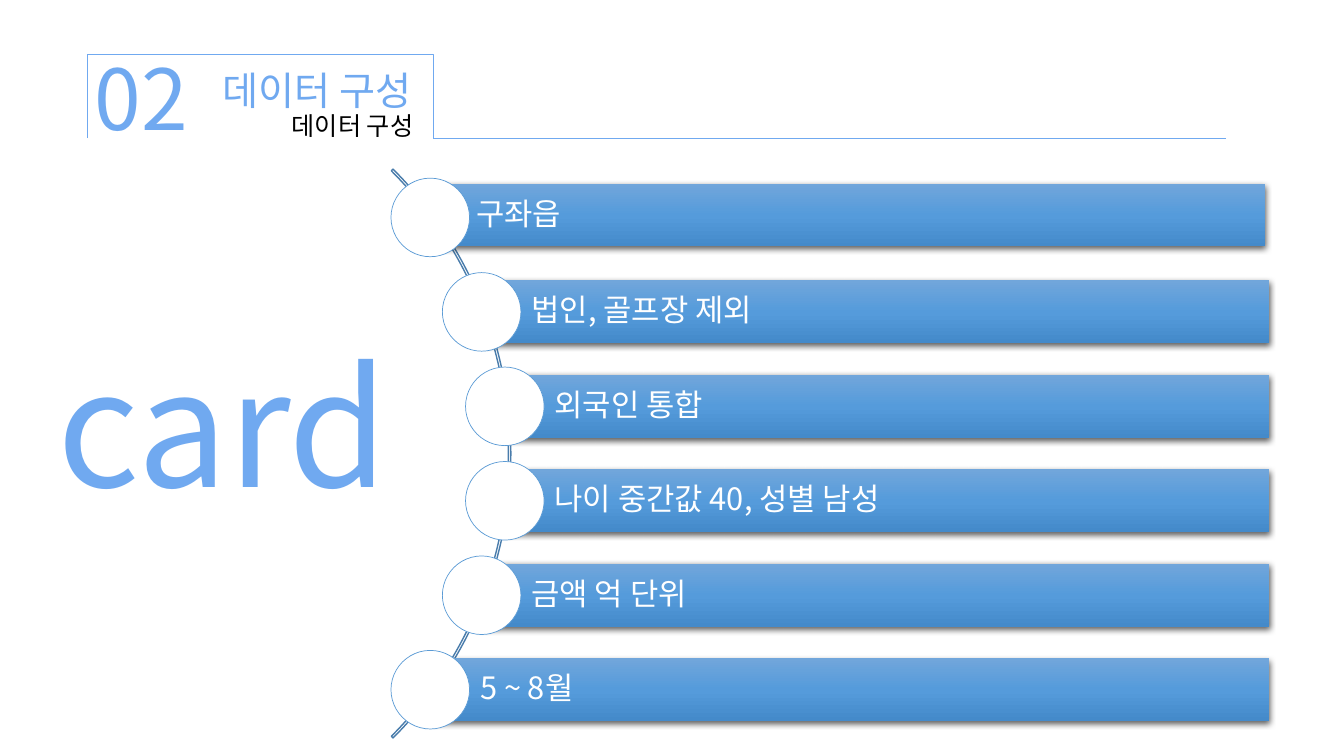
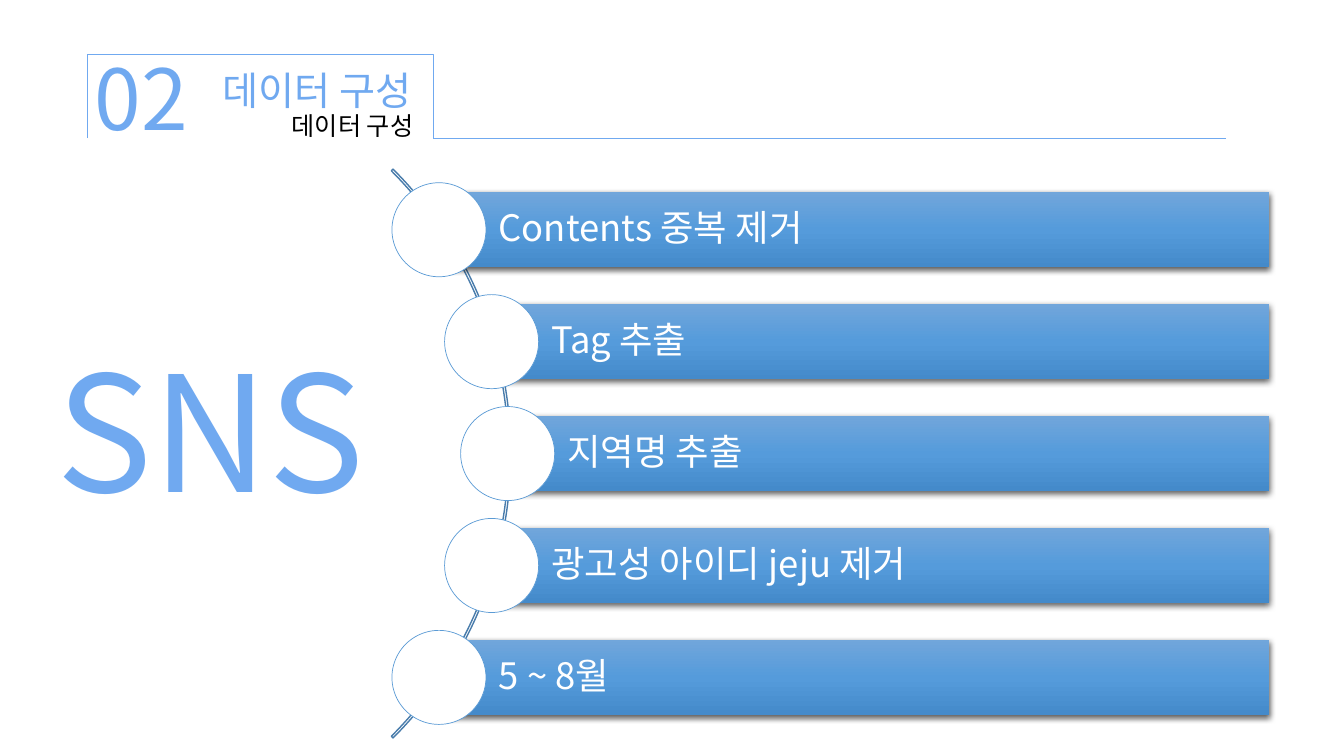
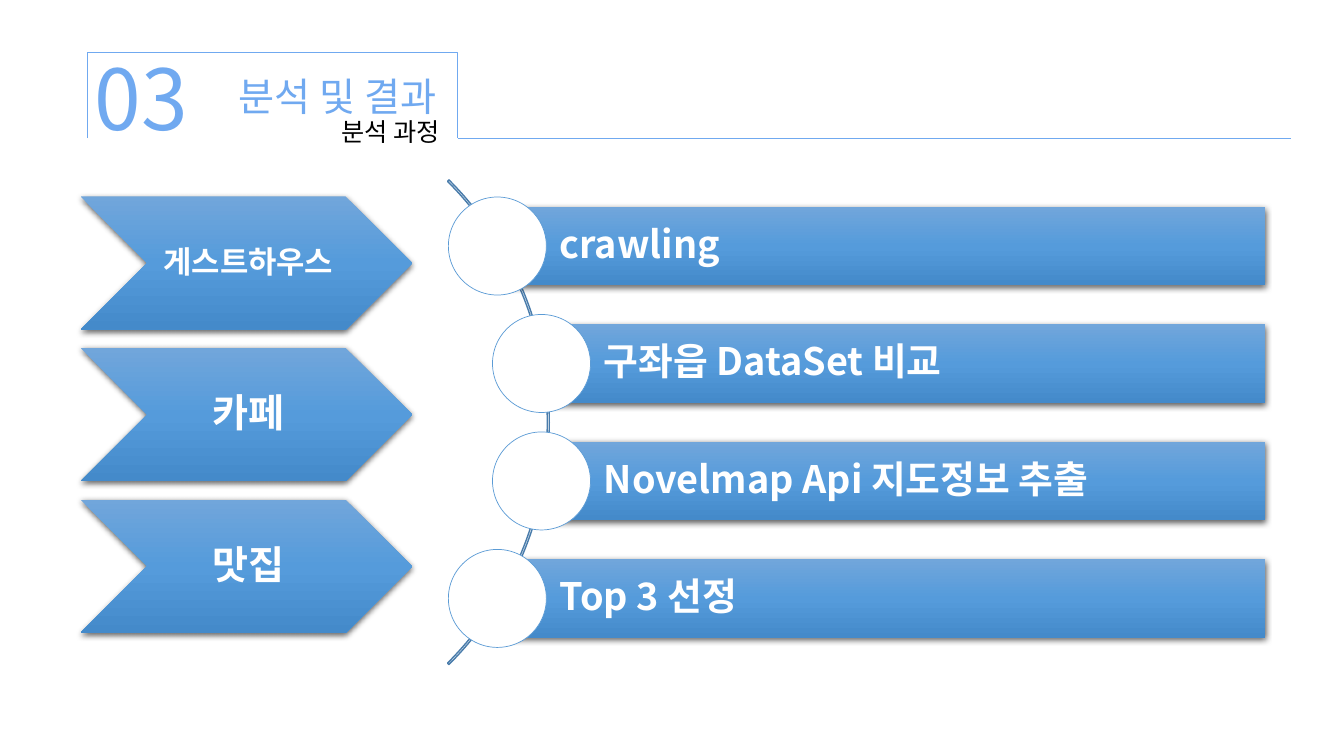
import copy
import math

import lxml.etree
import pptx
import pptx.dml.color
import pptx.enum.shapes
import pptx.enum.text
import pptx.oxml.ns
import pptx.util

Cm = pptx.util.Cm
Pt = pptx.util.Pt
qn = pptx.oxml.ns.qn
SHAPE = pptx.enum.shapes.MSO_SHAPE
ANCHOR = pptx.enum.text.MSO_ANCHOR
ALIGN = pptx.enum.text.PP_ALIGN

FONT = "Noto Sans CJK KR"
ACCENT = "70A9F0"
BLACK = "000000"
WHITE = "FFFFFF"
ARC_LINE = "497CAB"
DOT_LINE = "5B9BD5"
GRADIENT = ((0, "71A6DB"), (0.5, "559BDB"), (1, "448ACA"))
FRAME_LEFT = 2.21
FRAME_BOTTOM = 3.48
TEXT_INSETS = (0.25, 0.13, 0.25, 0.13)


def color(value):
    """Turn a hex string into a colour."""
    return pptx.dml.color.RGBColor.from_string(value)


def write(sp, text, size, fill, align=ALIGN.LEFT, anchor=ANCHOR.TOP,
          insets=TEXT_INSETS, bold=False, spacing=1.0):
    """Write one formatted line of text into a shape."""
    tf = sp.text_frame
    tf.word_wrap = True
    tf.auto_size = pptx.enum.text.MSO_AUTO_SIZE.NONE
    tf.vertical_anchor = anchor
    tf.margin_left, tf.margin_top, tf.margin_right, tf.margin_bottom = map(Cm, insets)
    p = tf.paragraphs[0]
    p.alignment = align
    p.line_spacing = spacing
    r = p.add_run()
    r.text = text
    r.font.size = Pt(size)
    r.font.bold = bold
    r.font.color.rgb = color(fill)
    r.font.name = FONT
    east_asian = lxml.etree.SubElement(r.font._element, qn("a:ea"))
    east_asian.set("typeface", FONT)


def add_text(s, box, text, size, fill, **style):
    """Add a text box at box, given in centimetres."""
    write(s.shapes.add_textbox(*map(Cm, box)), text, size, fill, **style)


def add_shape(s, kind, box, line=None, width=0.5, fill=None):
    """Add a flat preset shape with optional outline and fill."""
    sp = s.shapes.add_shape(kind, *map(Cm, box))
    sp.shadow.inherit = False
    if fill:
        sp.fill.solid()
        sp.fill.fore_color.rgb = color(fill)
    else:
        sp.fill.background()
    if line:
        sp.line.color.rgb = color(line)
        sp.line.width = Pt(width)
    else:
        sp.line.fill.background()
    return sp


def add_glossy(s, kind, box):
    """Add a shape with the blue gradient and a soft shadow."""
    sp = add_shape(s, kind, box)
    sp.fill.gradient()
    sp.fill.gradient_angle = 270
    stops = sp._element.spPr.find(".//" + qn("a:gsLst"))
    stops.insert(1, copy.deepcopy(stops[0]))
    for stop, (position, value) in zip(sp.fill.gradient_stops, GRADIENT):
        stop.position = position
        stop.color.rgb = color(value)
    effects = sp._element.spPr.find(qn("a:effectLst"))
    shadow = lxml.etree.SubElement(effects, qn("a:outerShdw"), blurRad=str(Pt(4.5)),
                                   dist=str(Pt(1.5)), dir="5400000",
                                   algn="ctr", rotWithShape="0")
    tint = lxml.etree.SubElement(shadow, qn("a:srgbClr"), val=BLACK)
    lxml.etree.SubElement(tint, qn("a:alpha"), val="63000")
    return sp


def add_frame(s, top, right, rule_end):
    """Draw the open header frame and the rule that continues it."""
    width, height = right - FRAME_LEFT, FRAME_BOTTOM - top
    box = (FRAME_LEFT + (width - height) / 2, top - (width - height) / 2, height, width)
    bracket = add_shape(s, SHAPE.RIGHT_BRACKET, box, ACCENT)
    bracket.adjustments[0] = 0
    bracket.rotation = 270
    rule = s.shapes.add_connector(pptx.enum.shapes.MSO_CONNECTOR.STRAIGHT,
                                  Cm(right), Cm(FRAME_BOTTOM), Cm(rule_end), Cm(FRAME_BOTTOM))
    rule.line.color.rgb = color(ACCENT)
    rule.line.width = Pt(0.5)
    lxml.etree.SubElement(rule._element.spPr, qn("a:effectLst"))


def add_header(prs, number, title, title_box, subtitle, subtitle_box, frame,
               align=ALIGN.CENTER):
    """Add a slide with its numbered header."""
    s = prs.slides.add_slide(prs.slide_layouts[5])
    add_frame(s, *frame)
    add_text(s, subtitle_box, subtitle, 18, BLACK, align=align)
    sp = s.shapes.title
    sp.left, sp.top, sp.width, sp.height = map(Cm, title_box)
    write(sp, title, 28, ACCENT, align=ALIGN.CENTER)
    add_text(s, (2.13, 1.05, 5.18, 2.8), number, 60, ACCENT)
    return s


def add_curved_list(s, items, center, diameter, dot, pitch, right, size,
                    bold=False, first_shift=(0, 0)):
    """Place bars and dots at equal steps along an arc."""
    cx, cy = center
    arc = add_shape(s, SHAPE.BLOCK_ARC,
                    (cx - diameter / 2, cy - diameter / 2, diameter, diameter), ARC_LINE, 1)
    for i, value in enumerate((189, 27, 0.003)):
        arc.adjustments[i] = value
    radius = diameter / 2 * 0.992
    height = dot * 0.8
    for i, item in enumerate(items):
        dy = (i - (len(items) - 1) / 2) * pitch
        x, y = cx + math.sqrt(radius ** 2 - dy ** 2), cy + dy
        shift_x, shift_y = (0, 0) if i else first_shift
        bar = add_glossy(s, SHAPE.RECTANGLE,
                         (x + shift_x, y - height / 2 + shift_y, right - x, height))
        write(bar, item, size, WHITE, anchor=ANCHOR.MIDDLE, bold=bold, spacing=0.9,
              insets=(dot * 0.635, 0.17, 0.17, 0.17))
        add_shape(s, SHAPE.OVAL, (x - dot / 2, y - dot / 2, dot, dot), DOT_LINE, fill=WHITE)


def add_chevrons(s, items):
    """Stack chevrons with bold centred labels."""
    for i, (label, size) in enumerate(items):
        sp = add_glossy(s, SHAPE.CHEVRON, (2.03, 4.95 + i * 3.82, 8.36, 3.36))
        write(sp, label, size, WHITE, align=ALIGN.CENTER, anchor=ANCHOR.MIDDLE,
              insets=(0.1, 0.05, 0, 0.05), bold=True, spacing=0.9)


def add_data_slide(prs, word, word_box, items, **layout):
    """Add a data composition slide with a large word and a curved list."""
    s = add_header(prs, "02", "데이터 구성", (4.5, 1.55, 6.96, 1.45),
                   "데이터 구성", (5.05, 2.64, 7.67, 1.02), (1.37, 10.92, 30.89))
    add_curved_list(s, items, (2.74, 11.43), 20.27, right=31.98, **layout)
    add_text(s, word_box, word, 115, ACCENT)


def add_process_slide(prs):
    """Add the analysis process slide."""
    s = add_header(prs, "03", "분석 및 결과", (5.41, 1.68, 6.2, 1.45),
                   "분석 과정", (3.91, 2.79, 7.42, 1.02), (1.32, 11.53, 32.54),
                   align=ALIGN.RIGHT)
    steps = ("crawling", "구좌읍 DataSet 비교", "Novelmap Api 지도정보 추출", "Top 3 선정")
    add_curved_list(s, steps, (5.21, 10.64), 17.27, dot=2.47, pitch=2.96,
                    right=31.88, size=27, bold=True)
    add_chevrons(s, (("게스트하우스", 22), ("카페", 28), ("맛집", 28)))


def main():
    """Build and save the presentation."""
    prs = pptx.Presentation()
    prs.slide_width, prs.slide_height = Cm(33.87), Cm(19.05)
    add_data_slide(prs, "card", (1.19, 8.1, 9.73, 5.18),
                   ("구좌읍", "법인, 골프장 제외", "외국인 통합",
                    "나이 중간값 40, 성별 남성", "금액 억 단위", "5 ~ 8월"),
                   dot=1.98, pitch=2.38, size=22, first_shift=(-0.1, -0.06))
    add_data_slide(prs, "SNS", (1.17, 8.23, 9.12, 5.18),
                   ("Contents 중복 제거", "Tag 추출", "지역명 추출",
                    "광고성 아이디 jeju 제거", "5 ~ 8월"),
                   dot=2.37, pitch=2.82, size=26)
    add_process_slide(prs)
    prs.save("out.pptx")


if __name__ == "__main__":
    main()
